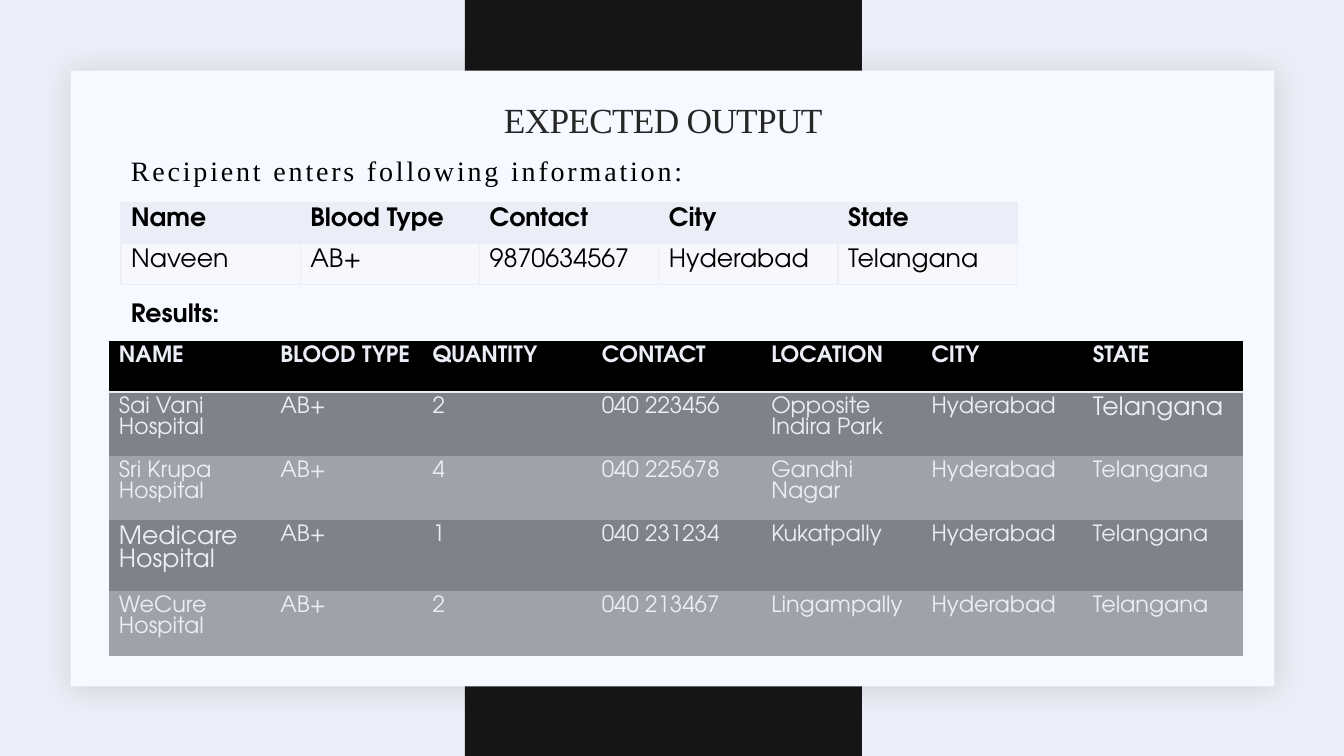
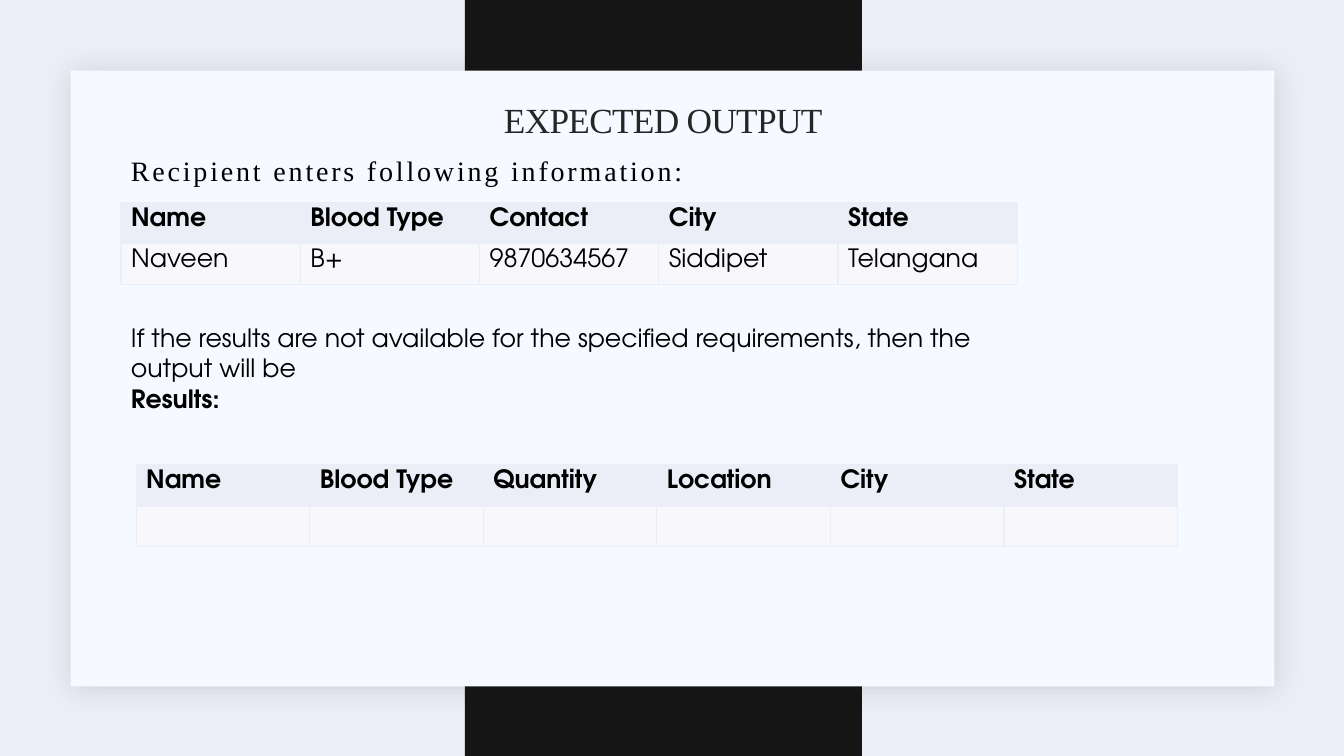
from lxml.etree import SubElement
from pptx import Presentation
from pptx.dml.color import RGBColor
from pptx.enum.shapes import MSO_SHAPE
from pptx.enum.text import MSO_ANCHOR
from pptx.oxml.ns import qn
from pptx.util import Inches, Pt

# Shared colours and text styles
PALE, CARD, BAND, CELL = "ECEEF7", "F6F9FF", "141514", "F8F8FC"
BLACK, INK, GREY, LIGHT_GREY = "000000", "262626", "818287", "A1A2A9"
SANS, SERIF = "TeX Gyre Adventor", "Times New Roman"
NO_STYLE = "{2D5ABB26-0587-4C30-8999-92F81FD0307C}"

TITLE = dict(name=SERIF, size=Pt(25.2))
SUBTITLE = dict(name=SERIF, size=Pt(20))
BODY = dict(name=SANS, size=Pt(18), bold=False)
BOLD = BODY | dict(bold=True)
SMALL = BODY | dict(size=Pt(16))
SMALL_BOLD = BOLD | dict(size=Pt(16))


def rgb(value):
    return RGBColor.from_string(value)


def write(p, text, style, color, spacing=None):
    r = p.add_run()
    r.text = text
    for key, value in style.items():
        setattr(r.font, key, value)
    r.font.color.rgb = rgb(color)
    if spacing is not None:
        r.font._element.set("spc", str(round(spacing * 100)))


def add_rect(s, x, y, w, h, color):
    sp = s.shapes.add_shape(MSO_SHAPE.RECTANGLE, Inches(x), Inches(y), Inches(w), Inches(h))
    sp.fill.solid()
    sp.fill.fore_color.rgb = rgb(color)
    sp.line.fill.background()
    sp.shadow.inherit = False
    return sp


def add_text(s, x, y, w, h, lines, color=BLACK, spacing=None):
    """Each line is a (text, style) pair."""
    tf = s.shapes.add_textbox(Inches(x), Inches(y), Inches(w), Inches(h)).text_frame
    tf.word_wrap = True
    for i, (text, style) in enumerate(lines):
        p = tf.paragraphs[0] if i == 0 else tf.add_paragraph()
        write(p, text, style, color, spacing)
    return tf


def add_soft_shadow(sp):
    effects = sp._element.spPr.find(qn("a:effectLst"))
    shadow = SubElement(effects, qn("a:outerShdw"), blurRad=str(Pt(20)), dist=str(Pt(2)),
                        dir="2700000", algn="ctr", rotWithShape="0")
    color = SubElement(shadow, qn("a:srgbClr"), val="1F2125")
    SubElement(color, qn("a:alpha"), val="15000")


def add_borders(cell, sides, width):
    tcPr = cell._tc.get_or_add_tcPr()
    for side in sides:
        ln = SubElement(tcPr, qn(f"a:ln{side}"), w=str(Pt(width)))
        fill = SubElement(ln, qn("a:solidFill"))
        SubElement(fill, qn("a:srgbClr"), val=PALE)


def add_table(s, x, y, widths, heights):
    frame = s.shapes.add_table(len(heights), len(widths), Inches(x), Inches(y),
                               Inches(sum(widths)), Inches(sum(heights)))
    table = frame.table
    table._tbl.tblPr.find(qn("a:tableStyleId")).text = NO_STYLE
    table.first_row = table.horz_banding = False
    for col, width in zip(table.columns, widths):
        col.width = Inches(width)
    for row, height in zip(table.rows, heights):
        row.height = Inches(height)
    return table


def fill_cell(cell, text, style, color, fill, sides="", width=1):
    add_borders(cell, sides, width)
    cell.fill.solid()
    cell.fill.fore_color.rgb = rgb(fill)
    if text:
        write(cell.text_frame.paragraphs[0], text, style, color)


def add_light_table(s, x, y, width, header, values):
    count = len(header)
    table = add_table(s, x, y, [width / count] * count, [0.41, 0.4])
    for c, (head, value) in enumerate(zip(header, values)):
        fill_cell(table.cell(0, c), head, BOLD, BLACK, PALE, "LRTB")
        fill_cell(table.cell(1, c), value, BODY, BLACK, CELL, "LRTB")


def add_dark_table(s, x, y, widths, heights, header, rows, large):
    """Cells listed in large, as (row, column), take the body size."""
    table = add_table(s, x, y, widths, heights)
    for c, head in enumerate(header):
        fill_cell(table.cell(0, c), head, SMALL_BOLD, PALE, BLACK, "B", 2)
    for r, row in enumerate(rows, 1):
        for c, value in enumerate(row):
            style = BODY if (r, c) in large else SMALL
            fill_cell(table.cell(r, c), value, style, PALE, GREY if r % 2 else LIGHT_GREY)


def add_output_slide(prs, blood_type, city):
    """Band, card, headings and the recipient's entry."""
    s = prs.slides.add_slide(prs.slide_layouts[6])
    add_rect(s, 4.61, 0, 3.94, 7.5, BAND)
    add_soft_shadow(add_rect(s, 0.7, 0.7, 11.94, 6.11, CARD))
    tf = add_text(s, 4.9, 0.85, 7.3, 0.6, [("EXPECTED OUTPUT", TITLE)], INK, -0.5)
    tf.vertical_anchor = MSO_ANCHOR.BOTTOM
    tf.paragraphs[0].line_spacing = 0.9
    add_text(s, 1.2, 1.47, 11, 0.5,
             [("Recipient enters following information:", SUBTITLE)], spacing=2)
    add_light_table(s, 1.2, 2.01, 8.89, ["Name", "Blood Type", "Contact", "City", "State"],
                    ["Naveen", blood_type, "9870634567", city, "Telangana"])
    return s


def main():
    prs = Presentation()
    prs.slide_width, prs.slide_height = Inches(13.33), Inches(7.5)
    background = prs.slide_master.background.fill
    background.solid()
    background.fore_color.rgb = rgb(PALE)

    # Matching donors found
    s = add_output_slide(prs, "AB+", "Hyderabad")
    add_text(s, 1.2, 2.9, 2.67, 0.4, [("Results:", BOLD)])
    hospitals = [
        ("Sai Vani Hospital", "2", "040 223456", "Opposite Indira Park"),
        ("Sri Krupa Hospital", "4", "040 225678", "Gandhi Nagar"),
        ("Medicare Hospital", "1", "040 231234", "Kukatpally"),
        ("WeCure Hospital", "2", "040 213467", "Lingampally"),
    ]
    rows = [(name, "AB+", quantity, contact, location, "Hyderabad", "Telangana")
            for name, quantity, contact, location in hospitals]
    add_dark_table(s, 1.08, 3.38, [1.6, 1.51, 1.68, 1.68, 1.59, 1.6, 1.59],
                   [0.51, 0.63, 0.64, 0.69, 0.64],
                   ["NAME", "BLOOD TYPE", "QUANTITY", "CONTACT", "LOCATION", "CITY", "STATE"],
                   rows, large={(1, 6), (3, 0)})

    # No match
    s = add_output_slide(prs, "B+", "Siddipet")
    add_text(s, 1.2, 3.15, 9.21, 1.01, [
        ("If the results are not available for the specified requirements, "
         "then the output will be", BODY),
        ("Results:", BOLD),
    ])
    add_light_table(s, 1.35, 4.61, 10.33,
                    ["Name", "Blood Type", "Quantity", "Location", "City", "State"], [""] * 6)

    prs.save("out.pptx")


if __name__ == "__main__":
    main()
